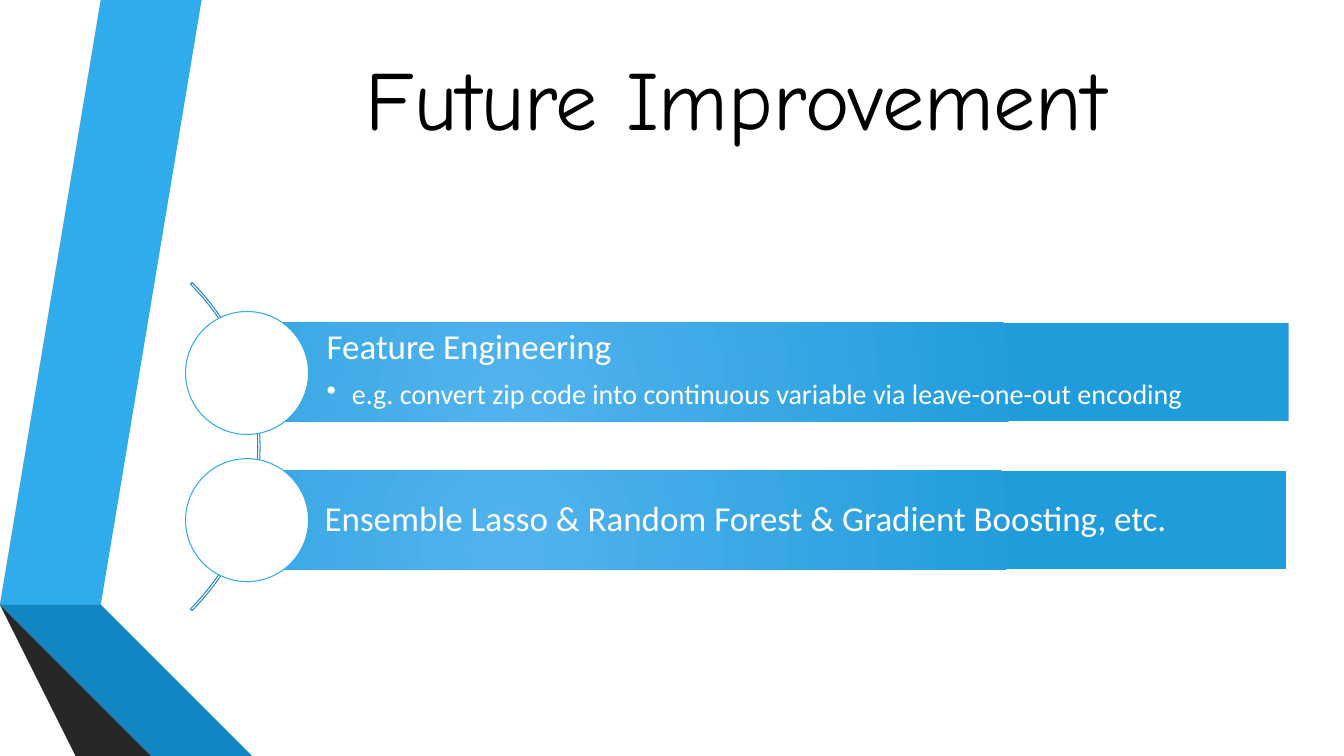
from lxml import etree
from pptx import Presentation
from pptx.dml.color import RGBColor
from pptx.enum import shapes as kinds, text as words
from pptx.oxml import parse_xml
from pptx.oxml.ns import nsdecls, qn
from pptx.util import Inches, Pt

BLACK = RGBColor(0, 0, 0)
WHITE = RGBColor(255, 255, 255)
SKY = RGBColor(0x30, 0xAC, 0xEC)
BLUE = RGBColor(0x12, 0x87, 0xC3)
NAVY = RGBColor(0x0C, 0x5A, 0x82)
GREY = RGBColor(0x59, 0x59, 0x59)
DARK = RGBColor(0x40, 0x40, 0x40)
COAL = RGBColor(0x26, 0x26, 0x26)
ARC = RGBColor(0x26, 0x8A, 0xBD)
LIGHT = RGBColor(0x51, 0xB3, 0xED)
DEEP = RGBColor(0x21, 0x9C, 0xDB)

deck = Presentation()
deck.slide_width, deck.slide_height = Inches(13.33), Inches(7.5)
slide = deck.slides.add_slide(deck.slide_layouts[6])
shapes = slide.shapes


def add_shape(kind, left, top, width, height, line=None):
    shape = shapes.add_shape(
        kind, Inches(left), Inches(top), Inches(width), Inches(height))
    shape.shadow.inherit = False
    if line is None:
        shape.line.fill.background()
    else:
        shape.line.color.rgb = line
        shape.line.width = Pt(0.75)
    return shape


def style(par, font, size, color):
    par.font.name, par.font.size = font, Pt(size)
    par.font.color.rgb = color


# Folded ribbons at the left edge
ribbons = [
    (SKY, [(0.5, 5.78), (0.77, 5.83), (1.73, 0), (1.45, 0)]),
    (GREY, [(1.39, 0), (1.11, 0), (0.16, 5.73), (0.44, 5.77)]),
    (COAL, [(0.16, 5.73), (1.45, 7.5), (1.51, 7.5)]),
    (NAVY, [(0.5, 5.79), (2.08, 7.5), (2.14, 7.5)]),
    (BLUE, [(0.5, 5.78), (0.5, 5.79), (2.14, 7.5), (2.83, 7.5), (0.77, 5.83)]),
    (DARK, [(2.02, 7.5), (0.48, 5.83), (0.44, 5.77), (0.16, 5.73), (1.51, 7.5)]),
]
for color, points in ribbons:
    pen = shapes.build_freeform(*points[0], scale=Inches(1))
    pen.add_line_segments(points[1:], close=True)
    ribbon = pen.convert_to_shape()
    ribbon.shadow.inherit = False
    ribbon.fill.solid()
    ribbon.fill.fore_color.rgb = color
    ribbon.line.fill.background()

# Title
title = shapes.add_textbox(Inches(1.82), 0, Inches(10.96), Inches(1.92))
frame = title.text_frame
frame.word_wrap = True
frame.vertical_anchor = words.MSO_ANCHOR.MIDDLE
par = frame.paragraphs[0]
par.text = "Future Improvement"
par.alignment = words.PP_ALIGN.CENTER
style(par, "Comic Neue", 60, BLACK)

# Arc behind the circles
arc = add_shape(kinds.MSO_SHAPE.BLOCK_ARC, -2.02, 2.13, 4.6, 4.6, ARC)
arc.fill.background()
for i, value in enumerate((189, 27, 0.005)):
    arc.adjustments[i] = value

# Bars with their circles
bars = [
    (2.47, 3.2, 3.09, words.MSO_ANCHOR.TOP, [
        "Feature Engineering",
        "e.g. convert zip code into continuous variable via leave-one-out encoding"]),
    (2.45, 4.67, 4.55, words.MSO_ANCHOR.MIDDLE, [
        "Ensemble Lasso & Random Forest & Gradient Boosting, etc."]),
]
for left, top, rise, anchor, lines in bars:
    bar = add_shape(kinds.MSO_SHAPE.RECTANGLE, left, top, 10.31, 0.98)
    bar.fill.gradient()
    for stop, color in zip(bar.fill.gradient_stops, (LIGHT, DEEP)):
        stop.color.rgb = color
    grad = bar.fill._xPr.find(qn("a:gradFill"))
    grad.replace(grad.find(qn("a:lin")), parse_xml(
        f'<a:path {nsdecls("a")} path="circle"><a:fillToRect l="50000" '
        't="100000" r="100000" b="50000"/></a:path>'))

    frame = bar.text_frame
    frame.word_wrap = True
    frame.vertical_anchor = anchor
    frame.margin_left = Inches(0.77)
    frame.margin_top = frame.margin_right = frame.margin_bottom = Inches(0.07)
    for i, line in enumerate(lines):
        par = frame.add_paragraph() if i else frame.paragraphs[0]
        par.text = line
        par.alignment = words.PP_ALIGN.LEFT
        par.line_spacing = 0.9
        par.space_after = Pt(3 if i else 9)
        style(par, "Calibri", 20 if i else 25, WHITE)
        if i:
            par.level = 1
            props = par._p.get_or_add_pPr()
            props.set("marL", str(Inches(0.25)))
            props.set("indent", str(Inches(-0.25)))
            bullet = etree.Element(qn("a:buChar"), char="•")
            props.find(qn("a:defRPr")).addprevious(bullet)

    circle = add_shape(kinds.MSO_SHAPE.OVAL, 1.84, rise, 1.22, 1.22, SKY)
    circle.fill.solid()
    circle.fill.fore_color.rgb = WHITE

deck.save("out.pptx")
